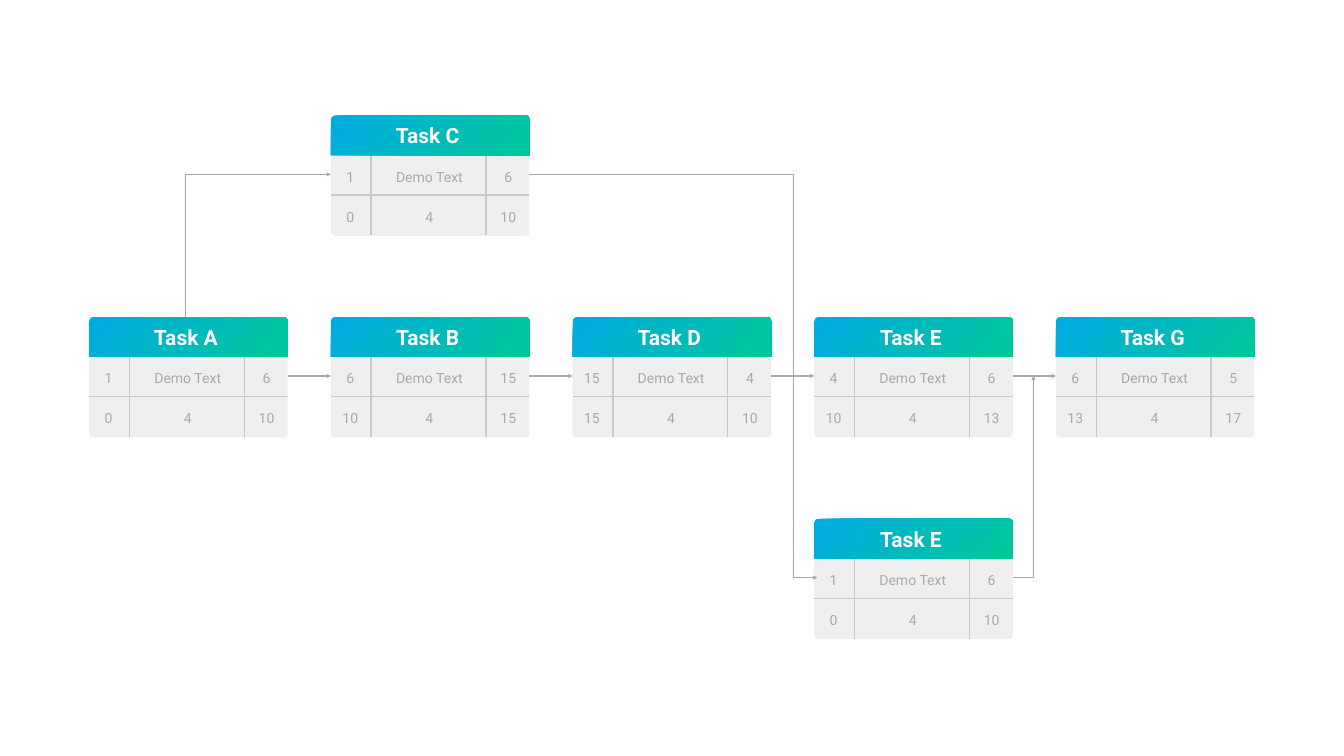
from lxml import etree
from pptx import Presentation
from pptx.dml.color import RGBColor
from pptx.enum.shapes import MSO_CONNECTOR, MSO_SHAPE
from pptx.enum.text import MSO_ANCHOR, MSO_AUTO_SIZE, PP_ALIGN
from pptx.oxml.ns import qn
from pptx.util import Inches, Pt

STRAIGHT, ELBOW = MSO_CONNECTOR.STRAIGHT, MSO_CONNECTOR.ELBOW
ROUNDED, ROUNDED_TOP = MSO_SHAPE.ROUNDED_RECTANGLE, MSO_SHAPE.ROUND_2_SAME_RECTANGLE

TASKS = [
    ("Task A", 0, 1, [("1", "Demo Text", "6"), ("0", "4", "10")]),
    ("Task B", 1, 1, [("6", "Demo Text", "15"), ("10", "4", "15")]),
    ("Task C", 1, 0, [("1", "Demo Text", "6"), ("0", "4", "10")]),
    ("Task D", 2, 1, [("15", "Demo Text", "4"), ("15", "4", "10")]),
    ("Task E", 3, 1, [("4", "Demo Text", "6"), ("10", "4", "13")]),
    ("Task G", 4, 1, [("6", "Demo Text", "5"), ("13", "4", "17")]),
    ("Task E", 3, 2, [("1", "Demo Text", "6"), ("0", "4", "10")]),
]
COLORS = {"panel": "C7C8C7", "start": "00AAE5", "end": "00C997",
          "title": "FEFFFE", "muted": "A7A8A7"}
TITLE = {"size": Pt(30), "bold": True, "name": "Roboto"}
VALUE = {"size": Pt(20), "bold": False, "name": "Roboto"}

LEFT, TOP, COLUMN_STEP, ROW_STEP = 1.77, 2.29, 4.796, 4.0
CARD_W, PANEL_H, HEADER_H, PANEL_DROP = 3.94, 2.36, 0.79, 0.03
DIVIDERS, DIVIDER_TOP, MIDLINE, CARD_BOTTOM = (0.8, 3.08), 0.33, 1.58, 2.38
CELLS = [(0.05, 0.67), (0.91, 2.09), (3.11, 0.82)]
CELL_TOP, CELL_STEP, CELL_H = 0.94, 0.8, 0.48
PORT = 1.17

prs = Presentation()
prs.slide_width, prs.slide_height = Inches(26.67), Inches(15)
slide = prs.slides.add_slide(prs.slide_layouts[6])


def rgb(key):
    return RGBColor.from_string(COLORS[key])


def corner(column, row):
    return LEFT + column * COLUMN_STEP, TOP + row * ROW_STEP


def add_line(x1, y1, x2, y2, color, kind=STRAIGHT, arrow=None):
    line = slide.shapes.add_connector(kind, *map(Inches, (x1, y1, x2, y2)))
    line.line.width = Pt(2)
    line.line.color.rgb = rgb(color)
    properties = line._element.spPr
    if arrow:
        etree.SubElement(properties.find(qn("a:ln")), qn(f"a:{arrow}"), type="triangle")
    etree.SubElement(properties, qn("a:effectLst"))
    return line


def add_block(kind, x, y, height, adjustment):
    block = slide.shapes.add_shape(kind, *map(Inches, (x, y, CARD_W, height)))
    block.adjustments[0] = adjustment
    block.shadow.inherit = False
    block.line.fill.background()
    return block


def add_text(text, x, y, width, height, style, color, spacing=None, inset=None):
    box = slide.shapes.add_textbox(*map(Inches, (x, y, width, height)))
    frame = box.text_frame
    frame.word_wrap = True
    frame.auto_size = MSO_AUTO_SIZE.SHAPE_TO_FIT_TEXT
    if inset:
        frame.vertical_anchor = MSO_ANCHOR.MIDDLE
        for side in ("left", "top", "right", "bottom"):
            setattr(frame, f"margin_{side}", Inches(inset))
    paragraph = frame.paragraphs[0]
    paragraph.alignment = PP_ALIGN.CENTER
    if spacing:
        paragraph.line_spacing = Pt(spacing)
    run = paragraph.add_run()
    run.text = text
    for name, value in style.items():
        setattr(run.font, name, value)
    run.font.color.rgb = rgb(color)


def add_task(title, column, row, values):
    x, y = corner(column, row)
    panel = add_block(ROUNDED, x, y + PANEL_DROP, PANEL_H, 0.034)
    panel.fill.solid()
    panel.fill.fore_color.rgb = rgb("panel")
    tint = panel._element.spPr.find(qn("a:solidFill")).find(qn("a:srgbClr"))
    etree.SubElement(tint, qn("a:alpha"), val="28000")

    for offset in DIVIDERS:
        add_line(x + offset, y + DIVIDER_TOP, x + offset, y + CARD_BOTTOM, "panel")
    add_line(x + CARD_W, y + MIDLINE, x, y + MIDLINE, "panel")

    header = add_block(ROUNDED_TOP, x, y, HEADER_H, 0.108)
    header.fill.gradient()
    header.fill.gradient_angle = 315
    for stop, position, color in zip(header.fill.gradient_stops, (0, 1), ("start", "end")):
        stop.position = position
        stop.color.rgb = rgb(color)
    add_text(title, x + 0.46, y + 0.09, 2.92, 0.62, TITLE, "title", inset=0.06)

    for index, cells in enumerate(values):
        for text, (offset, width) in zip(cells, CELLS):
            add_text(text, x + offset, y + CELL_TOP + index * CELL_STEP,
                     width, CELL_H, VALUE, "muted", spacing=28)


def add_elbow(x1, y1, x2, y2, arrow, preset, bend=None):
    elbow = add_line(x1, y1, x2, y2, "muted", ELBOW, arrow)
    geometry = elbow._element.spPr.find(qn("a:prstGeom"))
    geometry.set("prst", preset)
    if bend:
        guides = geometry.find(qn("a:avLst"))
        etree.SubElement(guides, qn("a:gd"), name="adj1", fmla=f"val {bend}")


for task in TASKS:
    add_task(*task)

upper, middle, lower = (corner(0, row)[1] + PORT for row in range(3))
lefts = [corner(column, 0)[0] for column in range(5)]
for left, following in zip(lefts, lefts[1:]):
    add_line(left + CARD_W, middle, following, middle, "muted", arrow="tailEnd")

add_elbow(lefts[1], upper, lefts[0] + 1.91, corner(0, 1)[1], "headEnd", "bentConnector2")
add_elbow(lefts[1] + CARD_W, upper, lefts[3] + 0.06, lower,
          "tailEnd", "bentConnector3", 91700)
add_elbow(lefts[3] + CARD_W, lower, lefts[3] + 4.35, middle, "tailEnd", "bentConnector2")

prs.save("out.pptx")
